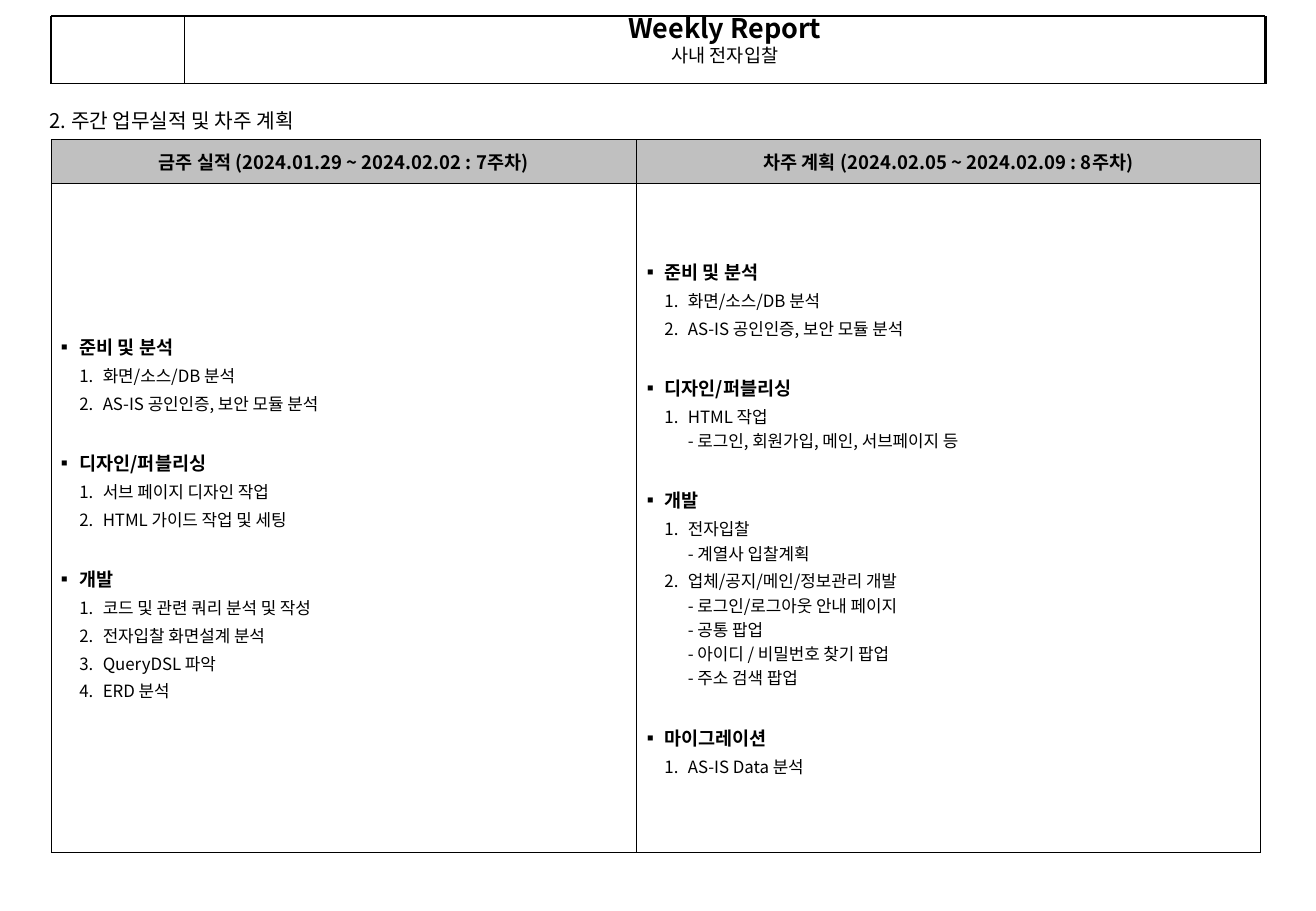
from dataclasses import dataclass

from lxml.etree import SubElement
from pptx import Presentation
from pptx.dml.color import RGBColor
from pptx.enum.shapes import MSO_CONNECTOR
from pptx.enum.text import MSO_ANCHOR as Anchor, PP_ALIGN as Align
from pptx.oxml.ns import qn
from pptx.util import Cm, Pt

REPORT = ("Weekly Report", "사내 전자입찰")
HEADING = "2. 주간 업무실적 및 차주 계획"
WEEKS = [
    ("금주 실적 (2024.01.29 ~ 2024.02.02 : 7주차)", [
        ("준비 및 분석", ["화면/소스/DB 분석", "AS-IS 공인인증, 보안 모듈 분석"]),
        ("디자인/퍼블리싱", ["서브 페이지 디자인 작업", "HTML 가이드 작업 및 세팅"]),
        ("개발", ["코드 및 관련 쿼리 분석 및 작성", "전자입찰 화면설계 분석",
                "QueryDSL 파악", "ERD 분석"]),
    ]),
    ("차주 계획 (2024.02.05 ~ 2024.02.09 : 8주차)", [
        ("준비 및 분석", ["화면/소스/DB 분석", "AS-IS 공인인증, 보안 모듈 분석"]),
        ("디자인/퍼블리싱", ["HTML 작업\v- 로그인, 회원가입, 메인, 서브페이지 등"]),
        ("개발", ["전자입찰\v- 계열사 입찰계획",
                "업체/공지/메인/정보관리 개발\v- 로그인/로그아웃 안내 페이지\v- 공통 팝업"
                "\v- 아이디 / 비밀번호 찾기 팝업\v- 주소 검색 팝업"]),
        ("마이그레이션", ["AS-IS Data 분석"]),
    ]),
]


@dataclass(frozen=True)
class Theme:
    font: str = "Noto Sans CJK KR"
    ink: str = "000000"
    header: str = "C0C0C0"
    title: int = 16
    heading: int = 12
    strong: int = 11
    item: int = 10
    thick: float = 1.5
    hairline: float = 0.25
    border: float = 0.45
    edge: float = 0.75


THEME = Theme()
INK = RGBColor.from_string(THEME.ink)
LEFT, DIVIDER, RIGHT = Cm(1.07), Cm(3.86), Cm(26.47)
TOP, BOTTOM = Cm(0.33), Cm(1.75)
WEEK_WIDTHS = [Cm(12.24), Cm(13.06)]
HEADER_HEIGHT, BODY_HEIGHT = Cm(0.91), Cm(14)
INDENT = Cm(0.49)
SECTION_GAP = 19


def write(frame, text, size, bold=False, before=0, after=0, align=Align.LEFT,
          bullet=None, level=0):
    first = not frame.paragraphs[0].runs
    line = frame.paragraphs[0] if first else frame.add_paragraph()
    line.text = text
    line.alignment = align
    line.level = level
    line.space_before = Pt(0 if first else before)
    line.space_after = Pt(after)
    if bullet:
        props = line._p.get_or_add_pPr()
        props.set("marL", str(INDENT * (level + 1)))
        props.set("indent", str(-INDENT))
        SubElement(props, qn("a:buFont"), typeface=THEME.font)
        tag, attribute, value = bullet
        SubElement(props, qn(tag), {attribute: value})
    line.font.name = THEME.font
    line.font.size = Pt(size)
    line.font.bold = bold
    line.font.color.rgb = INK
    SubElement(line.font._element, qn("a:ea"), typeface=THEME.font)
    return line


def text_box(slide, left, top, width, height, side, edge, anchor):
    frame = slide.shapes.add_textbox(left, top, width, height).text_frame
    frame.word_wrap = True
    frame.vertical_anchor = anchor
    frame.margin_left = frame.margin_right = side
    frame.margin_top = frame.margin_bottom = edge
    return frame


def rule(slide, x1, y1, x2, y2, weight):
    line = slide.shapes.add_connector(MSO_CONNECTOR.STRAIGHT, x1, y1, x2, y2)
    line.line.color.rgb = INK
    line.line.width = Pt(weight)
    SubElement(line._element.spPr, qn("a:effectLst"))


def style_cell(cell, fill, side, top_weight, right_weight):
    cell.vertical_anchor = Anchor.MIDDLE
    cell.margin_left = cell.margin_right = side
    cell.margin_top = cell.margin_bottom = Cm(0.13)
    props = cell._tc.get_or_add_tcPr()
    weights = {"a:lnL": THEME.border, "a:lnR": right_weight,
               "a:lnT": top_weight, "a:lnB": THEME.border}
    for tag, weight in weights.items():
        border = SubElement(props, qn(tag), w=str(Pt(weight)))
        paint = SubElement(border, qn("a:solidFill"))
        SubElement(paint, qn("a:srgbClr"), val=THEME.ink)
    if fill:
        cell.fill.solid()
        cell.fill.fore_color.rgb = RGBColor.from_string(fill)
    else:
        cell.fill.background()


def add_banner(slide):
    frame = text_box(slide, DIVIDER, TOP, RIGHT - DIVIDER, BOTTOM - TOP,
                     Cm(0.25), Cm(0.05), Anchor.TOP)
    title, project = REPORT
    for text, size, bold, before in ((title, THEME.title, True, 0),
                                     (project, THEME.strong, False, 2.2)):
        line = write(frame, text, size, bold, before, align=Align.CENTER)
        line.line_spacing = 0.8
    for x, weight in ((DIVIDER, THEME.hairline), (LEFT, THEME.thick), (RIGHT, THEME.thick)):
        rule(slide, x, TOP, x, BOTTOM, weight)
    for y, weight in ((TOP, THEME.thick), (BOTTOM, THEME.hairline)):
        rule(slide, LEFT, y, RIGHT, y, weight)


def add_weeks(slide):
    table = slide.shapes.add_table(2, len(WEEKS), LEFT, Cm(2.92), sum(WEEK_WIDTHS),
                                   HEADER_HEIGHT + BODY_HEIGHT).table
    table.rows[0].height, table.rows[1].height = HEADER_HEIGHT, BODY_HEIGHT
    for column, (period, sections) in enumerate(WEEKS):
        table.columns[column].width = WEEK_WIDTHS[column]
        right = THEME.edge if column == len(WEEKS) - 1 else THEME.border
        header, body = table.cell(0, column), table.cell(1, column)
        style_cell(header, THEME.header, Cm(0.05), THEME.edge, right)
        style_cell(body, None, Cm(0.1), THEME.border, right)
        write(header.text_frame, period, THEME.strong, True, after=2.8, align=Align.CENTER)
        for section, tasks in sections:
            write(body.text_frame, section, THEME.strong, True, SECTION_GAP, 1,
                  bullet=("a:buChar", "char", "▪"))
            for task in tasks:
                write(body.text_frame, task, THEME.item, False, 1, 1,
                      bullet=("a:buAutoNum", "type", "arabicPeriod"), level=1)


def main():
    deck = Presentation()
    deck.slide_width, deck.slide_height = Cm(27.53), Cm(19.05)
    slide = deck.slides.add_slide(deck.slide_layouts[6])
    add_banner(slide)
    heading = text_box(slide, Cm(0.79), Cm(2.13), Cm(7.8), Cm(0.76),
                       Cm(0.25), Cm(0.13), Anchor.MIDDLE)
    write(heading, HEADING, THEME.heading)
    add_weeks(slide)
    deck.save("out.pptx")


if __name__ == "__main__":
    main()
